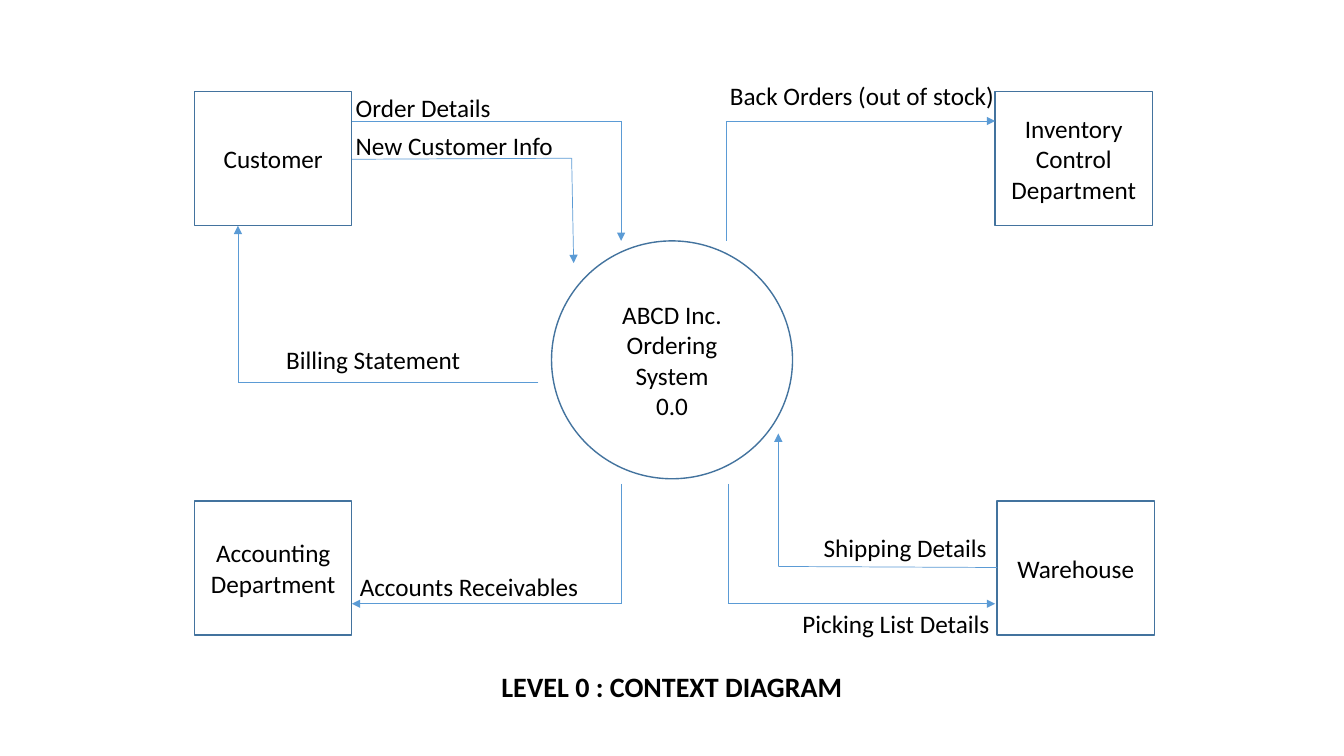
from lxml import etree
from pptx import Presentation
from pptx.dml.color import RGBColor
from pptx.enum.shapes import MSO_CONNECTOR, MSO_SHAPE
from pptx.enum.text import MSO_ANCHOR, MSO_AUTO_SIZE, PP_ALIGN
from pptx.oxml.ns import qn
from pptx.util import Inches, Pt

RECTANGLE, OVAL = MSO_SHAPE.RECTANGLE, MSO_SHAPE.OVAL
STRAIGHT = MSO_CONNECTOR.STRAIGHT
TOP, MIDDLE = MSO_ANCHOR.TOP, MSO_ANCHOR.MIDDLE
LEFT, CENTER = PP_ALIGN.LEFT, PP_ALIGN.CENTER
GROW = MSO_AUTO_SIZE.SHAPE_TO_FIT_TEXT

COLORS = {"outline": "43739E", "flow": "5B9BD5", "text": "000000"}
BODY_FONT = {"name": "Calibri", "size": Pt(18), "bold": False}
TITLE_FONT = {"name": "Calibri", "size": Pt(20), "bold": True}

TITLE = ("LEVEL 0 : CONTEXT DIAGRAM", (4.86, 6.59, 3.61, 0.44))
ENTITY_SIZE = (1.56, 1.33)
ENTITIES = [
    ("Customer", (1.93, 0.91)),
    ("Inventory Control Department", (9.87, 0.91)),
    ("Warehouse", (9.89, 4.97)),
    ("Accounting Department", (1.93, 4.97)),
]
PROCESS = ("ABCD Inc.\nOrdering\nSystem\n0.0", (5.47, 2.39, 2.39, 2.36))
LABEL_HEIGHT = 0.4
FLOWS = [
    ("Order Details", (3.43, 0.87, 2.33), [(3.49, 1.2), (6.16, 1.2), (6.16, 2.39)]),
    ("Back Orders (out of stock)", (7.14, 0.75, 3.12), [(7.2, 2.39), (7.2, 1.2), (9.87, 1.2)]),
    ("New Customer Info", (3.43, 1.24, 2.33), [(3.49, 1.58), (5.67, 1.57), (5.69, 2.61)]),
    ("Picking List Details", (7.86, 5.99, 2.4), [(7.22, 4.8), (7.22, 5.99), (9.87, 5.99)]),
    ("Shipping Details", (8.07, 5.23, 2.2), [(9.89, 5.63), (7.72, 5.62), (7.72, 4.3)]),
    ("Billing Statement", (2.74, 3.37, 2.33), [(5.34, 3.79), (2.36, 3.79), (2.36, 2.24)]),
    ("Accounts Receivables", (3.47, 5.62, 2.4), [(6.16, 4.8), (6.16, 5.99), (3.49, 5.99)]),
]


def inches(values):
    return [Inches(value) for value in values]


def color(name):
    return RGBColor.from_string(COLORS[name])


def write(shape, text, font, alignment, anchor):
    frame = shape.text_frame
    frame.text = text
    frame.word_wrap = True
    frame.vertical_anchor = anchor
    for paragraph in frame.paragraphs:
        paragraph.alignment = alignment
        for name, value in font.items():
            setattr(paragraph.font, name, value)
        paragraph.font.color.rgb = color("text")


def add_node(shapes, kind, text, box):
    shape = shapes.add_shape(kind, *inches(box))
    shape.shadow.inherit = False
    shape.fill.background()
    shape.line.color.rgb = color("outline")
    shape.line.width = Pt(1)
    write(shape, text, BODY_FONT, CENTER, MIDDLE)


def add_segment(shapes, start, end, arrow):
    connector = shapes.add_connector(STRAIGHT, *inches(start + end))
    connector.line.color.rgb = color("flow")
    connector.line.width = Pt(0.5)
    if arrow:
        line = connector.line._get_or_add_ln()
        etree.SubElement(line, qn("a:tailEnd"), type="triangle")
    etree.SubElement(connector._element.spPr, qn("a:effectLst"))


def add_flow(shapes, text, box, points):
    flow = shapes.add_group_shape().shapes
    for index, (start, end) in enumerate(zip(points, points[1:])):
        add_segment(flow, start, end, index == len(points) - 2)
    label = flow.add_textbox(*inches(box + (LABEL_HEIGHT,)))
    write(label, text, BODY_FONT, LEFT, TOP)
    label.text_frame.auto_size = GROW


def add_title(slide, text, box):
    title = slide.shapes.title
    title.left, title.top, title.width, title.height = inches(box)
    write(title, text, TITLE_FONT, CENTER, TOP)
    title.text_frame.word_wrap = False
    title.text_frame.auto_size = GROW


def main():
    presentation = Presentation()
    presentation.slide_width, presentation.slide_height = inches((13.33, 7.5))
    slide = presentation.slides.add_slide(presentation.slide_layouts[5])
    add_title(slide, *TITLE)
    add_node(slide.shapes, OVAL, *PROCESS)
    for text, corner in ENTITIES:
        add_node(slide.shapes, RECTANGLE, text, corner + ENTITY_SIZE)
    for flow in FLOWS:
        add_flow(slide.shapes, *flow)
    presentation.save("out.pptx")


if __name__ == "__main__":
    main()
